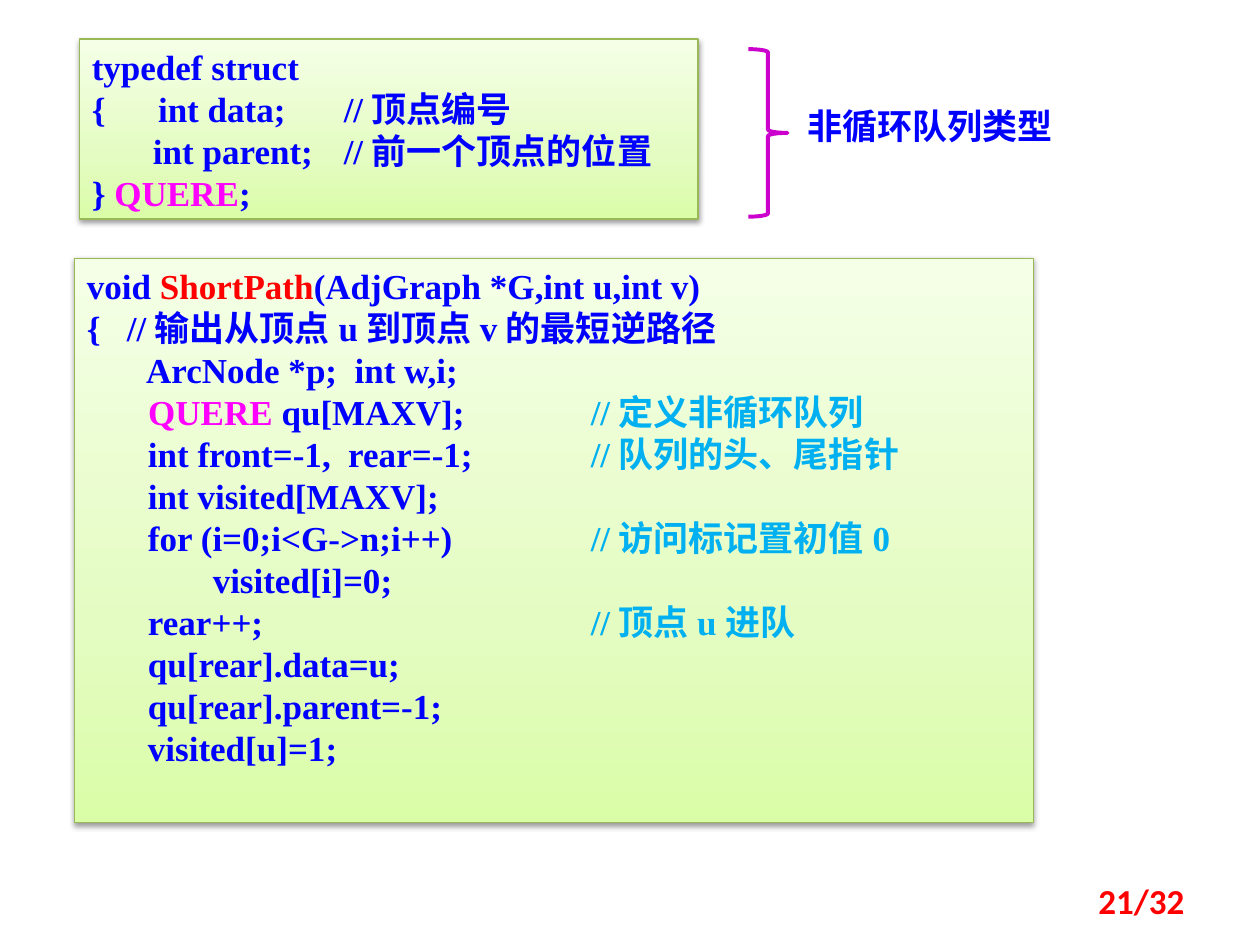
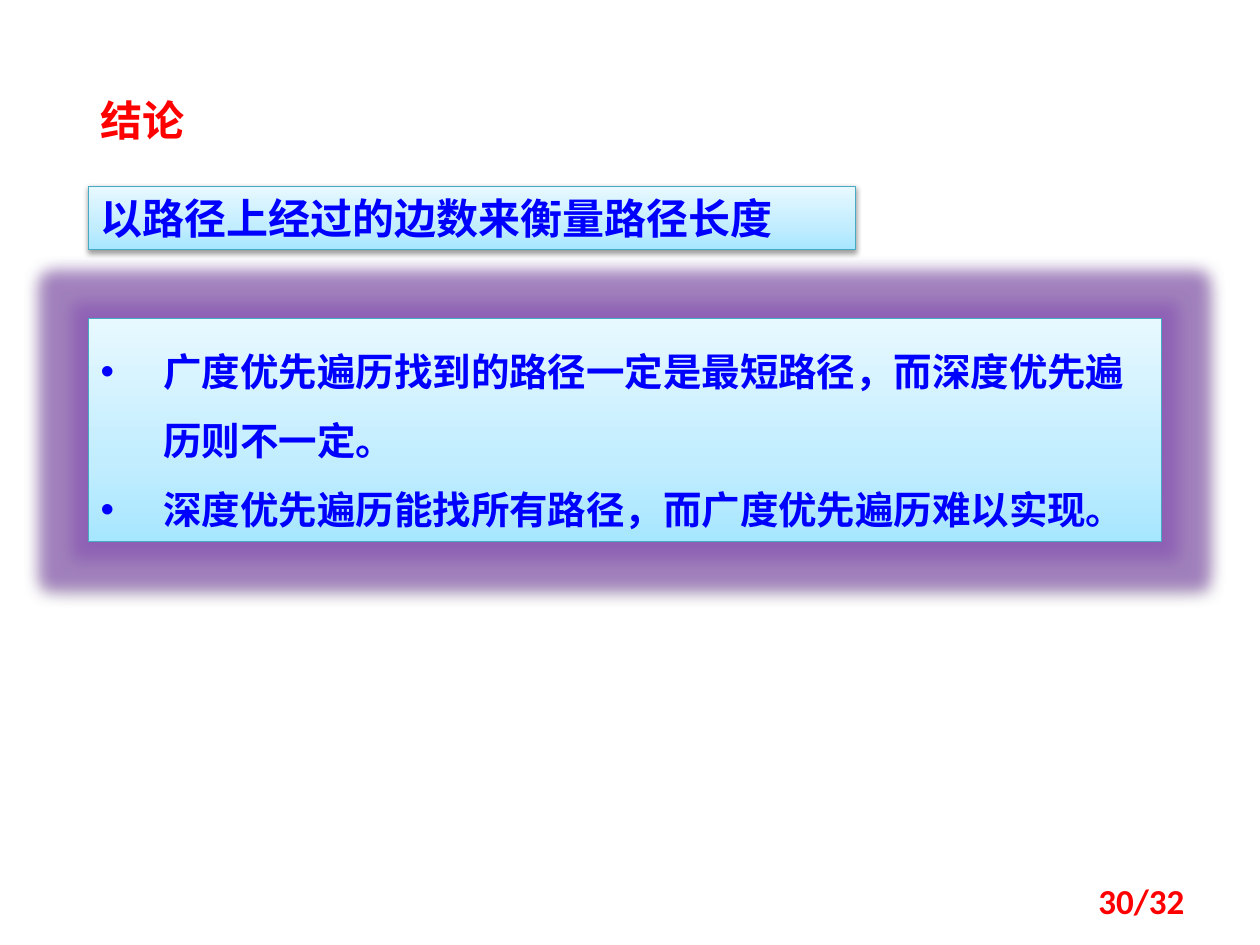
import copy
import pptx
import pptx.util
import pptx.dml.color
import pptx.enum.shapes
import pptx.enum.text
import pptx.oxml
import pptx.oxml.ns
from pptx.util import Inches

BLUE, RED, PINK, CYAN = "0000FF", "FF0000", "FF00FF", "00B0F0"
PURPLE, BRACE = "8A54B8", "CC00CC"
GREEN_BOX = ("98B955", ["DAFDA7", "E4FCC2", "F5FFE7"])
BLUE_BOX = ("46AAC5", ["A7E6FF", "C1EDFF", "E7F8FF"])
SERIF, SANS, CJK = "Times New Roman", "Calibri", "Noto Sans CJK SC"
NS = pptx.oxml.ns.nsdecls("a")
SHADOW = (f'<a:outerShdw {NS} blurRad="40000" dist="20000" dir="5400000" rotWithShape="0">'
          '<a:srgbClr val="000000"><a:alpha val="38000"/></a:srgbClr></a:outerShdw>')
GLOW = (f'<a:glow {NS} rad="228600"><a:srgbClr val="{PURPLE}">'
        '<a:alpha val="60000"/></a:srgbClr></a:glow>')


def style(r, size, color, font):
    r.font.size = pptx.util.Pt(size)
    r.font.bold = True
    r.font.name = font
    r.font.color.rgb = pptx.dml.color.RGBColor.from_string(color)
    ea = pptx.oxml.parse_xml(f'<a:ea {NS} typeface="{CJK}"/>')
    r.font._element.find(pptx.oxml.ns.qn("a:latin")).addnext(ea)


def gradient_box(s, x, y, w, h, look, effects):
    line, colors = look
    sp = s.shapes.add_shape(pptx.enum.shapes.MSO_SHAPE.RECTANGLE,
                            Inches(x), Inches(y), Inches(w), Inches(h))
    sp.fill.gradient()
    sp.fill.gradient_angle = 90
    stops = sp._element.spPr.find(".//" + pptx.oxml.ns.qn("a:gsLst"))
    stops.insert(1, copy.deepcopy(stops[0]))
    for stop, color, position in zip(sp.fill.gradient_stops, colors, (0, 0.35, 1)):
        stop.color.rgb = pptx.dml.color.RGBColor.from_string(color)
        stop.position = position
    sp.line.color.rgb = pptx.dml.color.RGBColor.from_string(line)
    sp.line.width = pptx.util.Pt(0.75)
    sp.shadow.inherit = False
    effect_list = sp._element.spPr.find(pptx.oxml.ns.qn("a:effectLst"))
    for effect in effects:
        effect_list.append(pptx.oxml.parse_xml(effect))
    sp.text_frame.word_wrap = True
    sp.text_frame.vertical_anchor = pptx.enum.text.MSO_ANCHOR.TOP
    return sp


prs = pptx.Presentation()
prs.slide_width, prs.slide_height = Inches(10), Inches(7.5)
code_slide = prs.slides.add_slide(prs.slide_layouts[6])
end_slide = prs.slides.add_slide(prs.slide_layouts[5])

# Code boxes: place, tab stops, lines made of (text, colour) pieces
struct_lines = [
    [("typedef struct", BLUE)],
    [("{      int data;\t//顶点编号", BLUE)],
    [("       int parent;\t//前一个顶点的位置", BLUE)],
    [("} ", BLUE), ("QUERE", PINK), (";", BLUE)],
]
path_lines = [
    [("void ", BLUE), ("ShortPath", RED), ("(AdjGraph *G,int u,int v)", BLUE)],
    [("{   //输出从顶点u到顶点v的最短逆路径", BLUE)],
    [("       ArcNode *p;  int w,i;", BLUE)],
    [("       ", BLUE), ("QUERE ", PINK), ("qu[MAXV];\t", BLUE), ("//定义非循环队列", CYAN)],
    [("       int front=-1,  rear=-1;\t", BLUE), ("//队列的头、尾指针", CYAN)],
    [("       int visited[MAXV];", BLUE)],
    [("       for (i=0;i<G->n;i++)\t", BLUE), ("//访问标记置初值0", CYAN)],
    [(" \tvisited[i]=0;", BLUE)],
    [("       rear++;\t", BLUE), ("//顶点u进队", CYAN)],
    [("       qu[rear].data=u;", BLUE)],
    [("       qu[rear].parent=-1;", BLUE)],
    [("       visited[u]=1;", BLUE)],
]
for place, tabs, lines in [((0.63, 0.31, 4.91, 1.43), [2], struct_lines),
                           ((0.59, 2.05, 7.61, 4.48), [1, 4], path_lines)]:
    tf = gradient_box(code_slide, *place, GREEN_BOX, [SHADOW]).text_frame
    for i, line in enumerate(lines):
        p = tf.add_paragraph() if i else tf.paragraphs[0]
        p.alignment = pptx.enum.text.PP_ALIGN.LEFT
        # A line with two stops may skip the first one when it reaches the comment column
        stops = tabs[-1:] if line[0][0].strip().startswith("rear++") else tabs
        tab_xml = "".join(f'<a:tab pos="{Inches(t)}" algn="l"/>' for t in stops)
        p._p.get_or_add_pPr().append(
            pptx.oxml.parse_xml(f"<a:tabLst {NS}>{tab_xml}</a:tabLst>"))
        for text, color in line:
            r = p.add_run()
            r.text = text
            style(r, 20, color, SERIF)

# Brace and its label
brace = code_slide.shapes.add_shape(pptx.enum.shapes.MSO_SHAPE.RIGHT_BRACE,
                                    Inches(5.94), Inches(0.39), Inches(0.31), Inches(1.33))
brace.shadow.inherit = False
brace.fill.background()
brace.line.color.rgb = pptx.dml.color.RGBColor.from_string(BRACE)
brace.line.width = pptx.util.Pt(2.25)
label = code_slide.shapes.add_textbox(Inches(6.17), Inches(0.78), Inches(2.42), Inches(0.44))
label.text_frame.word_wrap = True
p = label.text_frame.paragraphs[0]
p.text = "非循环队列类型"
p.alignment = pptx.enum.text.PP_ALIGN.CENTER
style(p.runs[0], 20, BLUE, SERIF)

# Conclusion title
title = end_slide.shapes.title
title.left, title.top, title.width, title.height = (Inches(v) for v in (0.47, 0.7, 1.33, 0.5))
p = title.text_frame.paragraphs[0]
p.text = "结论"
p.alignment = pptx.enum.text.PP_ALIGN.CENTER
style(p.runs[0], 24, RED, CJK)

# Measure box
measure = gradient_box(end_slide, 0.7, 1.48, 6.09, 0.5, BLUE_BOX, [SHADOW])
p = measure.text_frame.paragraphs[0]
p.text = "以路径上经过的边数来衡量路径长度"
p.alignment = pptx.enum.text.PP_ALIGN.LEFT
style(p.runs[0], 24, BLUE, SANS)

# Glowing box with bullets
tf = gradient_box(end_slide, 0.7, 2.53, 8.52, 1.77, BLUE_BOX, [GLOW, SHADOW]).text_frame
points = ["广度优先遍历找到的路径一定是最短路径，而深度优先遍历则不一定。",
          "深度优先遍历能找所有路径，而广度优先遍历难以实现。"]
for i, point in enumerate(points):
    p = tf.add_paragraph() if i else tf.paragraphs[0]
    p.text = point
    p.alignment = pptx.enum.text.PP_ALIGN.LEFT
    p.line_spacing = 1.5
    pPr = p._p.get_or_add_pPr()
    pPr.set("marL", str(Inches(0.5)))
    pPr.set("indent", str(-Inches(0.5)))
    pPr.append(pptx.oxml.parse_xml(f'<a:buFont {NS} typeface="Arial"/>'))
    pPr.append(pptx.oxml.parse_xml(f'<a:buChar {NS} char="•"/>'))
    style(p.runs[0], 22, BLUE, CJK)

# Page numbers
for s, number in [(code_slide, "21/32"), (end_slide, "30/32")]:
    tf = s.shapes.add_textbox(Inches(7.17), Inches(6.95), Inches(2.33), Inches(0.4)).text_frame
    tf.word_wrap = True
    tf.vertical_anchor = pptx.enum.text.MSO_ANCHOR.MIDDLE
    p = tf.paragraphs[0]
    p.text = number
    p.alignment = pptx.enum.text.PP_ALIGN.RIGHT
    style(p.runs[0], 20, RED, SANS)

prs.save("out.pptx")
